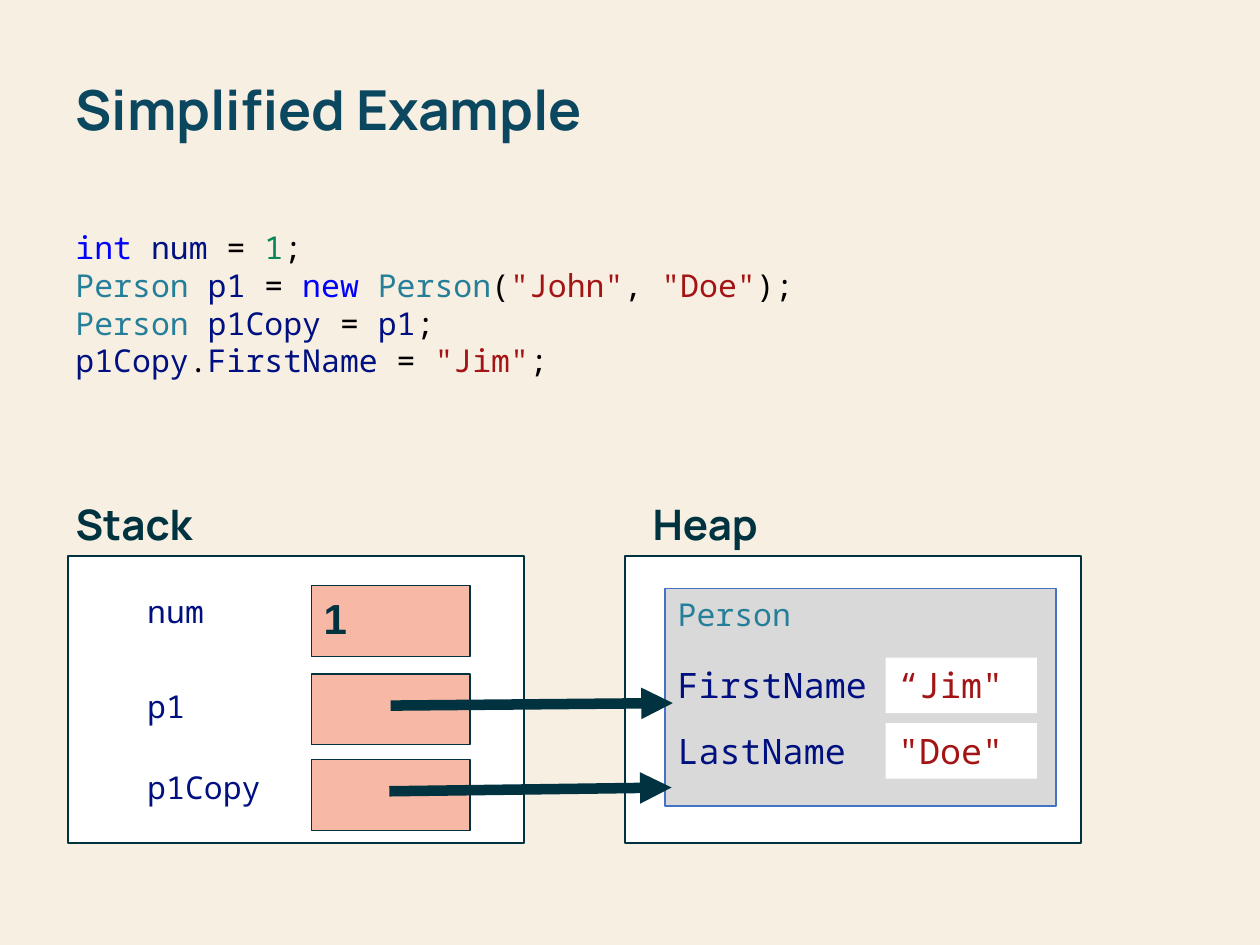
import pptx
import pptx.chart.data
import pptx.dml.color
import pptx.enum.shapes
import pptx.enum.text
import pptx.oxml.ns
import pptx.util
from pptx.util import Inches

SANS, MONO = "Manrope", "Noto Sans Mono"
INK, WHITE, SALMON = "003240", "FFFFFF", "F8B8A6"
KEYWORD, TYPE, VARIABLE = "0000FF", "267F99", "001080"
NUMBER, STRING, PLAIN = "098658", "A31515", "000000"

CODE = [
    [("int ", KEYWORD), ("num", VARIABLE), (" = ", PLAIN), ("1", NUMBER), (";", PLAIN)],
    [("Person ", TYPE), ("p1", VARIABLE), (" = ", PLAIN), ("new ", KEYWORD),
     ("Person", TYPE), ("(", PLAIN), ('"John"', STRING), (", ", PLAIN),
     ('"Doe"', STRING), (");", PLAIN)],
    [("Person ", TYPE), ("p1Copy", VARIABLE), (" = ", PLAIN), ("p1", VARIABLE), (";", PLAIN)],
    [("p1Copy", VARIABLE), (".", PLAIN), ("FirstName", VARIABLE), (" = ", PLAIN),
     ('"Jim"', STRING), (";", PLAIN)],
]


def rgb(value):
    return pptx.dml.color.RGBColor.from_string(value)


def apply(target, formats):
    for name, value in formats.items():
        setattr(target, name, value)


def write(shape, lines, size, font=MONO, bold=False, anchor="TOP", **paragraph_formats):
    """Fill a shape with lines, each a list of (text, colour) runs."""
    frame = shape.text_frame
    apply(frame, {"word_wrap": True, "auto_size": pptx.enum.text.MSO_AUTO_SIZE.NONE,
                  "vertical_anchor": getattr(pptx.enum.text.MSO_ANCHOR, anchor)})
    for index, runs in enumerate(lines):
        paragraph = frame.add_paragraph() if index else frame.paragraphs[0]
        apply(paragraph, {"alignment": pptx.enum.text.PP_ALIGN.LEFT,
                          "space_before": pptx.util.Pt(0), **paragraph_formats})
        for text, colour in runs:
            run = paragraph.add_run()
            run.text = text
            apply(run.font, {"name": font, "size": pptx.util.Pt(size), "bold": bold})
            run.font.color.rgb = rgb(colour)


def add_box(slide, left, top, width, height, fill, line=None, weight=1):
    shape = slide.shapes.add_shape(
        pptx.enum.shapes.MSO_SHAPE.RECTANGLE,
        Inches(left), Inches(top), Inches(width), Inches(height))
    shape.shadow.inherit = False
    shape.fill.solid()
    shape.fill.fore_color.rgb = rgb(fill)
    if line:
        shape.line.color.rgb = rgb(line)
        shape.line.width = pptx.util.Pt(weight)
    else:
        shape.line.fill.background()
    return shape


def add_label(slide, left, top, width, height, lines, size=18):
    box = slide.shapes.add_textbox(Inches(left), Inches(top), Inches(width), Inches(height))
    write(box, lines, size)


def add_arrow(slide, start, end):
    arrow = slide.shapes.add_connector(
        pptx.enum.shapes.MSO_CONNECTOR.STRAIGHT, *map(Inches, start + end))
    arrow.line.color.rgb = rgb(INK)
    arrow.line.width = pptx.util.Pt(6)
    properties = arrow._element.spPr
    line = properties.find(pptx.oxml.ns.qn("a:ln"))
    line.append(pptx.oxml.parse_xml(
        f'<a:tailEnd {pptx.oxml.ns.nsdecls("a")} type="triangle"/>'))
    properties.append(pptx.oxml.parse_xml(f'<a:effectLst {pptx.oxml.ns.nsdecls("a")}/>'))


def fill_placeholder(shape, box, text, size, colour, anchor):
    apply(shape, dict(zip(("left", "top", "width", "height"), map(Inches, box))))
    write(shape, [[(text, colour)]], size, SANS, True, anchor, line_spacing=0.9)


def add_headings(slide):
    title, stack, stack_body, heap, heap_body = list(slide.placeholders)
    fill_placeholder(title, (0.5, 0.27, 9, 1.25), "Simplified Example", 31.5, "0B485F", "MIDDLE")
    for shape, left, text in ((stack, 0.5, "Stack"), (heap, 5.08, "Heap")):
        fill_placeholder(shape, (left, 3.71, 4.42, 0.7), text, 24, "003340", "BOTTOM")
    for unused in (stack_body, heap_body):
        unused._element.getparent().remove(unused._element)


def add_heap(slide, left, top, width, height):
    add_box(slide, left, top, width, height, WHITE, INK)
    object_left, object_top = left + 0.32, top + 0.26
    add_box(slide, object_left, object_top, 3.1, 1.73, "D9D9D9", "4472C4")
    add_label(slide, object_left, object_top, 3.1, 0.5, [[("Person", TYPE)]])
    fields = (("FirstName", '“Jim"'), ("LastName", '"Doe"'))
    for row, (name, value) in enumerate(fields):
        row_top = object_top + 0.55 + 0.52 * row
        add_label(slide, object_left, row_top, 1.75, 0.44, [[(name, VARIABLE)]], 20)
        cell = add_box(slide, object_left + 1.75, row_top, 1.2, 0.44, WHITE)
        write(cell, [[(value, STRING)]], 20)


def add_stack(slide, left, top, width, height):
    add_box(slide, left, top, width, height, WHITE, INK)
    rows = (("num", 0.24, 0.24, "1"), ("p1", 0.99, 0.94, ""), ("p1Copy", 1.64, 1.62, ""))
    for name, label_offset, cell_offset, value in rows:
        add_label(slide, left + 0.53, top + label_offset, 1.45, 0.5, [[(name, VARIABLE)]])
        cell = add_box(slide, left + 1.93, top + cell_offset, 1.26, 0.56, SALMON, INK, 0.75)
        if value:
            write(cell, [[(value, INK)]], 24, "Arial", True)


def main():
    presentation = pptx.Presentation()
    apply(presentation, {"slide_width": Inches(10), "slide_height": Inches(7.5)})
    comparison_layout = presentation.slide_layouts[4]
    slide = presentation.slides.add_slide(comparison_layout)
    slide.background.fill.solid()
    slide.background.fill.fore_color.rgb = rgb("F8EFE3")
    add_headings(slide)
    add_label(slide, 0.5, 1.76, 8.91, 1.72, CODE)
    add_heap(slide, 4.96, 4.41, 3.62, 2.28)
    add_stack(slide, 0.54, 4.41, 3.62, 2.28)
    add_arrow(slide, (3.1, 5.6), (5.34, 5.58))
    add_arrow(slide, (3.09, 6.28), (5.33, 6.25))
    presentation.save("out.pptx")


if __name__ == "__main__":
    main()
